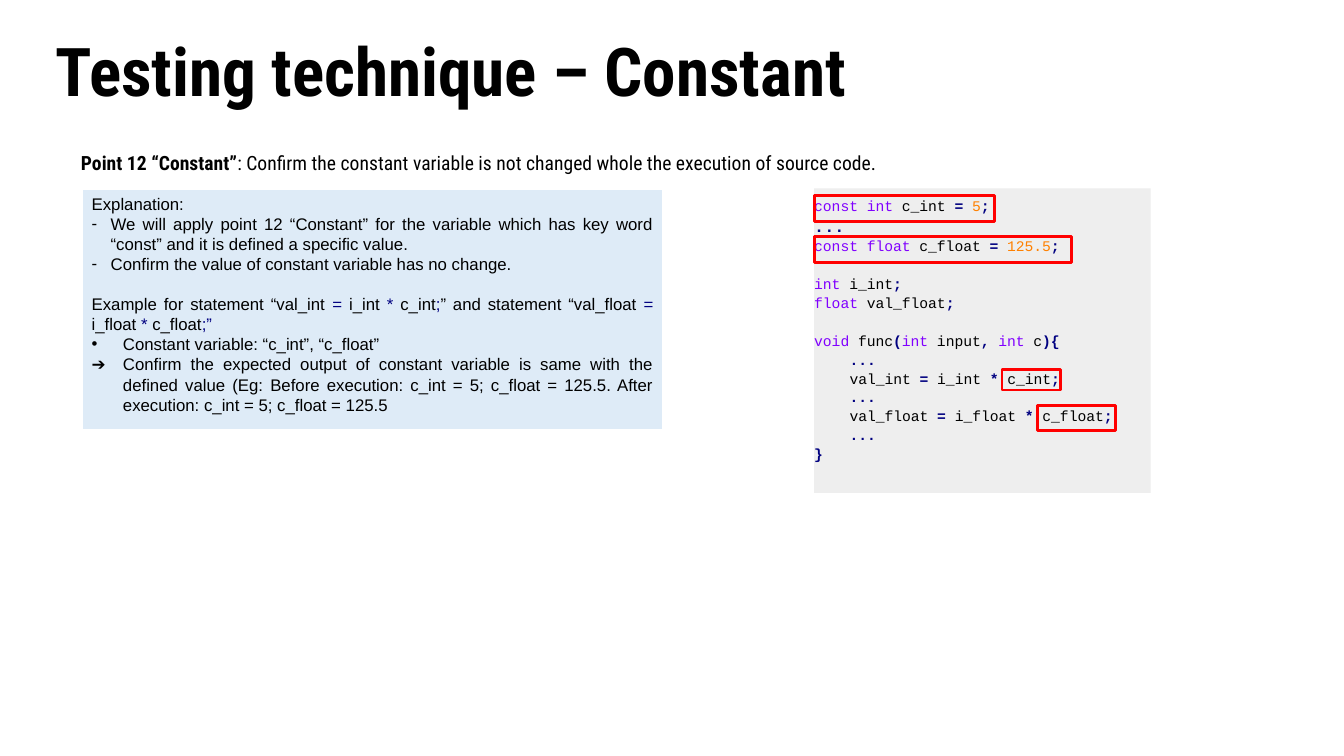
from lxml.etree import SubElement
from pptx import Presentation
from pptx.dml.color import RGBColor
from pptx.enum.shapes import MSO_SHAPE
from pptx.enum.text import MSO_ANCHOR, MSO_AUTO_SIZE, PP_ALIGN
from pptx.oxml.ns import qn
from pptx.util import Cm, Pt

COLORS = {"text": "000000", "keyword": "8000FF", "operator": "000080", "number": "FF8000",
          "note": "DEEBF7", "code": "EEEEEE", "white": "FFFFFF", "mark": "FF0000"}


def add_runs(p, runs, font, size, bold_styles=()):
    """Add (style, text) runs to a paragraph; the style names the colour."""
    for style, text in runs:
        r = p.add_run()
        r.text = text
        r.font.name, r.font.size = font, Pt(size)
        r.font.bold = style in bold_styles
        r.font.color.rgb = RGBColor.from_string(COLORS[style])


def add_box(shapes, box, fill=None, line=None):
    """Add a rectangle, given in centimetres, with optional fill and outline."""
    sp = shapes.add_shape(MSO_SHAPE.RECTANGLE, *(Cm(v) for v in box))
    sp.shadow.inherit = False
    if fill:
        sp.fill.solid()
        sp.fill.fore_color.rgb = RGBColor.from_string(COLORS[fill])
    else:
        sp.fill.background()
    if line:
        sp.line.color.rgb = RGBColor.from_string(COLORS[line])
        sp.line.width = Pt(2)
    else:
        sp.line.fill.background()
    sp.text_frame.word_wrap = True
    return sp


prs = Presentation()
prs.slide_width, prs.slide_height = Cm(33.87), Cm(19.05)
s = prs.slides.add_slide(prs.slide_layouts[1])

# Title and body placeholders
title, body = s.shapes.title, s.placeholders[1]
for sp, top, height in ((title, 0.71, 2.34), (body, 3.61, 14.43)):
    sp.left, sp.top, sp.width, sp.height = Cm(1.22), Cm(top), Cm(31.42), Cm(height)
    tf = sp.text_frame
    tf.auto_size = MSO_AUTO_SIZE.NONE
    tf.margin_left = tf.margin_right = Cm(0.18)
    tf.margin_top = tf.margin_bottom = Cm(0.1)
    tf.paragraphs[0].alignment = PP_ALIGN.LEFT
    tf.paragraphs[0].space_before = Pt(0)

title.text_frame.vertical_anchor = MSO_ANCHOR.MIDDLE
p = title.text_frame.paragraphs[0]
p.line_spacing = 0.9
add_runs(p, [("text", "Testing technique – Constant")], "Roboto Condensed", 48, ("text",))

p = body.text_frame.paragraphs[0]
p.line_spacing = 1.14
pPr = p._p.get_or_add_pPr()
pPr.set("marL", str(Cm(0.64)))
pPr.set("indent", "0")
SubElement(pPr, qn("a:buNone"))
add_runs(p, [("text", "Point 12 “Constant”")], "Roboto Condensed", 14, ("text",))
add_runs(p, [("text", ": Confirm the constant variable is not changed whole the execution "
              "of source code.")], "Roboto Condensed", 14)

# Explanation: bullet, indent in cm, space before in points, runs
EXPLANATION = [
    (None, 0, 0, [("text", "Explanation:")]),
    ("-", 0.48, 0, [("text", "We will apply point 12 “Constant” for the variable which has key "
                     "word “const” and it is defined a specific value.")]),
    ("-", 0.48, 0, [("text", "Confirm the value of constant variable has no change.")]),
    (None, 0, 14, [("text", "Example for statement “val_int "), ("operator", "= "),
                   ("text", "i_int "), ("operator", "* "), ("text", "c_int"),
                   ("operator", ";"), ("text", "” and statement “val_float "),
                   ("operator", "= "), ("text", "i_float "), ("operator", "* "),
                   ("text", "c_float"), ("operator", ";”")]),
    ("•", 0.79, 0, [("text", "Constant variable: “c_int”, “c_float”")]),
    ("➔", 0.79, 0, [("text", "Confirm the expected output of constant variable is same with the "
                     "defined value (Eg: Before execution: c_int = 5; c_float = 125.5. After "
                     "execution: c_int = 5; c_float = 125.5")]),
]
tf = add_box(s.shapes, (2.06, 4.75, 14.66, 6.1), "note", "white").text_frame
tf.vertical_anchor = MSO_ANCHOR.TOP
for i, (bullet, indent, gap, runs) in enumerate(EXPLANATION):
    p = tf.add_paragraph() if i else tf.paragraphs[0]
    p.alignment = PP_ALIGN.LEFT if bullet == "•" else PP_ALIGN.JUSTIFY
    p.space_before = Pt(gap)
    if bullet:
        pPr = p._p.get_or_add_pPr()
        pPr.set("marL", str(Cm(indent)))
        pPr.set("indent", str(-Cm(indent)))
        SubElement(pPr, qn("a:buFont"), typeface="Arial")
        SubElement(pPr, qn("a:buChar"), char=bullet)
    add_runs(p, runs, "Arial", 12)

# Code listing: indent level, blank lines before, runs
DOTS = (1, 0, [("operator", "...")])
CODE = [
    (0, 0, [("keyword", "const int "), ("text", "c_int "), ("operator", "= "),
            ("number", "5"), ("operator", ";")]),
    (0, 0, [("operator", "...")]),
    (0, 0, [("keyword", "const float "), ("text", "c_float "), ("operator", "= "),
            ("number", "125.5"), ("operator", ";")]),
    (0, 1, [("keyword", "int "), ("text", "i_int"), ("operator", ";")]),
    (0, 0, [("keyword", "float "), ("text", "val_float"), ("operator", ";")]),
    (0, 1, [("keyword", "void "), ("text", "func"), ("operator", "("), ("keyword", "int"),
            ("text", " input"), ("operator", ", "), ("keyword", "int"), ("text", " c"),
            ("operator", "){")]),
    DOTS,
    (1, 0, [("text", "val_int "), ("operator", "= "), ("text", "i_int "),
            ("operator", "* "), ("text", "c_int"), ("operator", ";")]),
    DOTS,
    (1, 0, [("text", "val_float "), ("operator", "= "), ("text", "i_float "),
            ("operator", "* "), ("text", "c_float"), ("operator", ";")]),
    DOTS,
    (0, 0, [("operator", "}")]),
]
group = s.shapes.add_group_shape()
tf = add_box(group.shapes, (20.52, 4.75, 8.48, 7.67), "code").text_frame
tf.vertical_anchor = MSO_ANCHOR.MIDDLE
tf.margin_left = tf.margin_right = 0
tf.margin_top, tf.margin_bottom = Cm(0.18), Cm(0.77)
for i, (level, blanks, runs) in enumerate(CODE):
    p = tf.add_paragraph() if i else tf.paragraphs[0]
    p.alignment = PP_ALIGN.LEFT
    p.line_spacing = 1.07
    p.space_before = Pt(13.6 * blanks)
    p._p.get_or_add_pPr().set("marL", str(Cm(0.89 * level)))
    add_runs(p, runs, "Courier New", 12 if i == 1 else 10.5, ("operator",))

# Red frames around the constants
for frame in ((25.25, 9.32, 1.47, 0.51), (26.14, 10.21, 1.98, 0.64),
              (20.52, 5.97, 6.48, 0.64), (20.52, 4.93, 4.55, 0.66)):
    add_box(group.shapes, frame, line="mark")

prs.save("out.pptx")
